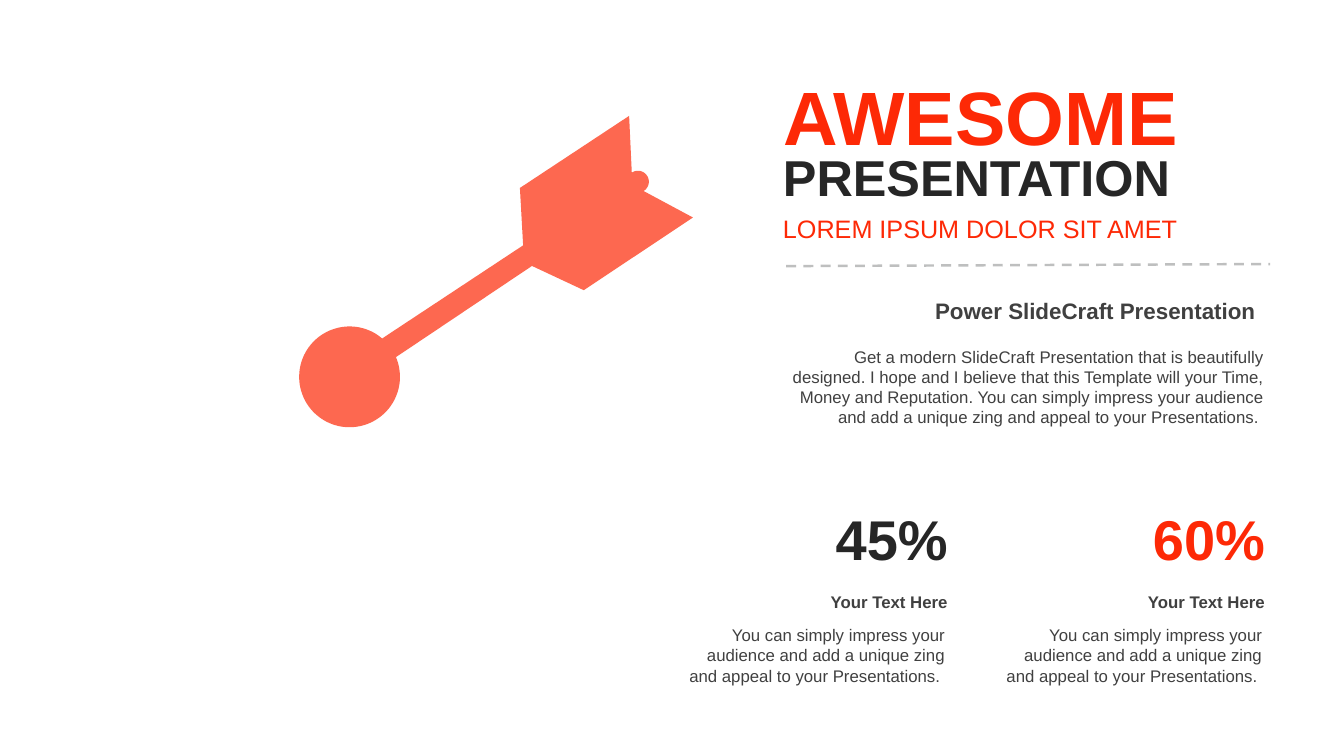
from math import cos, radians, sin

from lxml.etree import SubElement
from pptx import Presentation
from pptx.dml.color import RGBColor
from pptx.enum.dml import MSO_LINE as Dash
from pptx.enum.shapes import MSO_CONNECTOR as Link
from pptx.enum.text import MSO_ANCHOR as Anchor, MSO_AUTO_SIZE as Fit, PP_ALIGN as Align
from pptx.oxml.ns import qn
from pptx.util import Pt

RED, DARK, GREY, RULE = "FD2906", "262626", "404040", "BEBFBF"


def paint(color, code):
    color.rgb = RGBColor.from_string(code)


def place(shape, x, y, w, h):
    shape.left, shape.top, shape.width, shape.height = Pt(x), Pt(y), Pt(w), Pt(h)


def write(shape, text, size, code, bold=False, align=Align.RIGHT,
          anchor=Anchor.TOP, right=7.2):
    frame = shape.text_frame
    frame.word_wrap, frame.auto_size = True, Fit.NONE
    frame.vertical_anchor = anchor
    frame.margin_left, frame.margin_right = Pt(7.2), Pt(right)
    frame.margin_top = frame.margin_bottom = Pt(3.6)
    frame.text = text
    par = frame.paragraphs[0]
    par.alignment = align
    par.font.name, par.font.size, par.font.bold = "Arial", Pt(size), bold
    paint(par.font.color, code)


def label(slide, x, y, w, h, *args, **kwargs):
    box = slide.shapes.add_textbox(Pt(x), Pt(y), Pt(w), Pt(h))
    write(box, *args, **kwargs)


def heading(slide, x, y, w):
    style = {"align": Align.LEFT, "anchor": Anchor.MIDDLE}
    title = slide.shapes.title
    place(title, x, y, w, 72.7)
    write(title, "AWESOME", 54, RED, True, **style)
    label(slide, x, y + 54.7, w, 51, "PRESENTATION", 36, DARK, True, **style)
    label(slide, x, y + 103, w, 29, "LOREM IPSUM DOLOR SIT AMET", 18, RED, **style)


def divider(slide, x, y, w):
    line = slide.shapes.add_connector(Link.STRAIGHT, Pt(x), Pt(y), Pt(x + w), Pt(y - 1.5))
    line.line.width, line.line.dash_style = Pt(1.75), Dash.DASH
    paint(line.line.color, RULE)
    SubElement(line.element.spPr, qn("a:effectLst"))


def intro(slide, x, y, w):
    label(slide, x, y, w, 26.6, "Power SlideCraft Presentation", 16, GREY, True, right=13.2)
    label(slide, x, y + 35.3, w, 65.4,
          "Get a modern SlideCraft Presentation that is beautifully designed. "
          "I hope and I believe that this Template will your Time, Money and "
          "Reputation. You can simply impress your audience and add a unique "
          "zing and appeal to your Presentations. ", 12, GREY)


def stat(slide, x, y, w, value, code):
    label(slide, x + w - 108, y, 108, 55.4, value, 40, code, True, anchor=Anchor.MIDDLE)
    label(slide, x, y + 62.4, w, 21.8, "Your Text Here", 12, GREY, True)
    label(slide, x - 1.8, y + 86, w, 51,
          "You can simply impress your audience and add a unique zing "
          "and appeal to your Presentations. ", 12, GREY)


def arc(x, y, radius, start, end, steps):
    """Points clockwise around x, y between two angles in degrees."""
    turns = [radians(start + (end - start) * i / steps) for i in range(steps + 1)]
    return [(x + radius * cos(t), y + radius * sin(t)) for t in turns]


def arrow(slide, x, y):
    """Arrow from a ball at lower left to a feathered tail at upper right."""
    tail = [(235.7, 0), (237.6, 40.6)]
    knob = arc(242, 47, 7.8, -124, 59, 24)
    fin = [(281.3, 72.6), (203.3, 124.5), (166.3, 107.2)]
    ball = arc(36, 186.4, 36, -23, 304, 96)
    shaft = [(59.3, 159), (160, 92.5), (157.7, 51.5)]
    points = [(Pt(x + px), Pt(y + py)) for px, py in tail + knob + fin + ball + shaft]
    pen = slide.shapes.build_freeform(*points[0])
    pen.add_line_segments(points[1:], close=True)
    shape = pen.convert_to_shape()
    shape.shadow.inherit = False
    shape.line.fill.background()
    shape.fill.solid()
    paint(shape.fill.fore_color, RED)
    color = shape.element.spPr.find(qn("a:solidFill"))[0]
    SubElement(color, qn("a:alpha"), val="70000")


def main():
    deck = Presentation()
    deck.slide_width, deck.slide_height = Pt(960), Pt(540)
    slide = deck.slides.add_slide(deck.slide_layouts[5])
    left, width = 552.2, 357.8
    heading(slide, left, 46, width)
    divider(slide, left + 9.4, 190.1, 345.6)
    intro(slide, left, 208.8, width)
    arrow(slide, 213.7, 82.8)
    for i, (value, code) in enumerate([("45%", DARK), ("60%", RED)]):
        stat(slide, 486 + 226.6 * i, 356.9, 198, value, code)
    deck.save("out.pptx")


if __name__ == "__main__":
    main()
